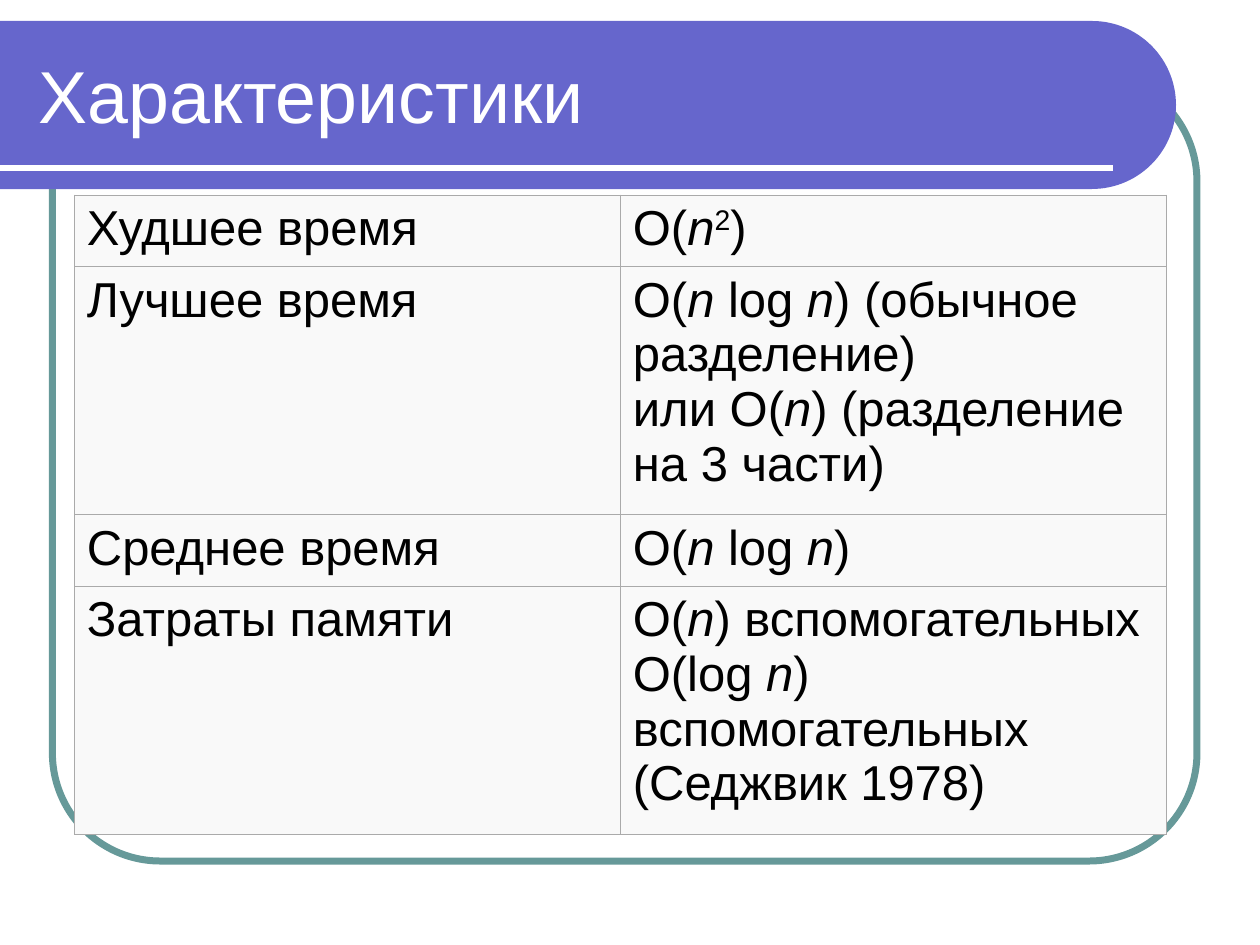
from math import cos, pi, sin

from lxml.etree import SubElement
from pptx import Presentation
from pptx.dml.color import RGBColor
from pptx.enum.shapes import MSO_CONNECTOR, MSO_SHAPE
from pptx.enum.text import MSO_ANCHOR
from pptx.oxml.ns import qn
from pptx.util import Pt

WHITE = RGBColor(0xFF, 0xFF, 0xFF)
BLACK = RGBColor(0x00, 0x00, 0x00)
VIOLET = RGBColor(0x66, 0x66, 0xCC)
TEAL = RGBColor(0x66, 0x99, 0x99)
CELL_FILL = RGBColor(0xF9, 0xF9, 0xF9)
BORDER = RGBColor(0xAA, 0xAA, 0xAA)

# "|" separates runs: "n" is italic, "2" is an exponent, "\n" is a line break.
CHARACTERISTICS = [
    ("Худшее время", "O(|n|2|)"),
    ("Лучшее время",
     "O(|n| log |n|) (обычное разделение)|\n|или O(|n|) (разделение на 3 части)"),
    ("Среднее время", "O(|n| log |n|)"),
    ("Затраты памяти",
     "O(|n|) вспомогательных|\n|O(log |n|) вспомогательных (Седжвик 1978)"),
]


class SlideBuilder:
    font_name = "Arial"
    title_size = 42
    table_size = 28
    border_width = 0.34

    def __init__(self, slide):
        self.slide = slide

    def format_run(self, run, size, color):
        run.font.name = self.font_name
        run.font.size = Pt(size)
        run.font.color.rgb = color

    def frame(self, left, top, width, height, corner):
        shape = self.slide.shapes.add_shape(
            MSO_SHAPE.ROUNDED_RECTANGLE, Pt(left), Pt(top), Pt(width), Pt(height))
        shape.adjustments[0] = corner
        shape.shadow.inherit = False
        shape.fill.background()
        shape.line.color.rgb = TEAL
        shape.line.width = Pt(4)

    def banner(self, top, width, height, steps=60):
        """Draw a band from the left slide edge that ends in a half circle."""
        radius = height / 2
        center_x, center_y = width - radius, top + radius
        angles = [pi * step / steps - pi / 2 for step in range(steps + 1)]
        arc = [(Pt(center_x + radius * cos(angle)), Pt(center_y + radius * sin(angle)))
               for angle in angles]
        builder = self.slide.shapes.build_freeform(0, Pt(top))
        builder.add_line_segments(arc + [(0, Pt(top + height))], close=True)
        shape = builder.convert_to_shape()
        shape.shadow.inherit = False
        shape.fill.solid()
        shape.fill.fore_color.rgb = VIOLET
        shape.line.fill.background()

    def rule(self, left, right, y):
        connector = self.slide.shapes.add_connector(
            MSO_CONNECTOR.STRAIGHT, Pt(left), Pt(y), Pt(right), Pt(y))
        connector.line.color.rgb = WHITE
        connector.line.width = Pt(3)
        SubElement(connector._element.spPr, qn("a:effectLst"))

    def title(self, text, left, top, width, height):
        text_frame = self.slide.shapes.add_textbox(
            Pt(left), Pt(top), Pt(width), Pt(height)).text_frame
        text_frame.word_wrap = True
        text_frame.vertical_anchor = MSO_ANCHOR.MIDDLE
        text_frame.text = text
        self.format_run(text_frame.paragraphs[0].runs[0], self.title_size, WHITE)

    def table(self, rows, left, top, column_width, row_heights):
        column_count = len(rows[0])
        table = self.slide.shapes.add_table(
            len(rows), column_count, Pt(left), Pt(top),
            Pt(column_width * column_count), Pt(sum(row_heights))).table
        table.first_row = table.horz_banding = False
        for column in table.columns:
            column.width = Pt(column_width)
        for row, height, texts in zip(table.rows, row_heights, rows):
            row.height = Pt(height)
            for cell, text in zip(row.cells, texts):
                self.fill_cell(cell, text)

    def fill_cell(self, cell, text):
        self.add_borders(cell)
        cell.fill.solid()
        cell.fill.fore_color.rgb = CELL_FILL
        paragraph = cell.text_frame.paragraphs[0]
        for part in text.split("|"):
            if part == "\n":
                paragraph.add_line_break()
                continue
            run = paragraph.add_run()
            run.text = part
            self.format_run(run, self.table_size, BLACK)
            if part == "n":
                run.font.italic = True
            elif part == "2":
                run.font._element.set("baseline", "30000")

    def add_borders(self, cell):
        properties = cell._tc.get_or_add_tcPr()
        for side in ("a:lnL", "a:lnR", "a:lnT", "a:lnB"):
            line = SubElement(properties, qn(side), w=str(Pt(self.border_width)))
            fill = SubElement(line, qn("a:solidFill"))
            SubElement(fill, qn("a:srgbClr"), val=str(BORDER))


def main():
    presentation = Presentation()
    presentation.slide_width = Pt(720)
    presentation.slide_height = Pt(540)
    builder = SlideBuilder(presentation.slides.add_slide(presentation.slide_layouts[6]))
    builder.frame(30, 42, 654, 450, corner=0.137)
    builder.banner(top=12, width=672, height=96)
    builder.rule(0, 636, y=96)
    builder.title("Характеристики", 15, 18, 631, 72)
    builder.table(CHARACTERISTICS, 42.5, 111.4, column_width=312,
                  row_heights=[41, 141.7, 41, 141.7])
    presentation.save("out.pptx")


if __name__ == "__main__":
    main()
